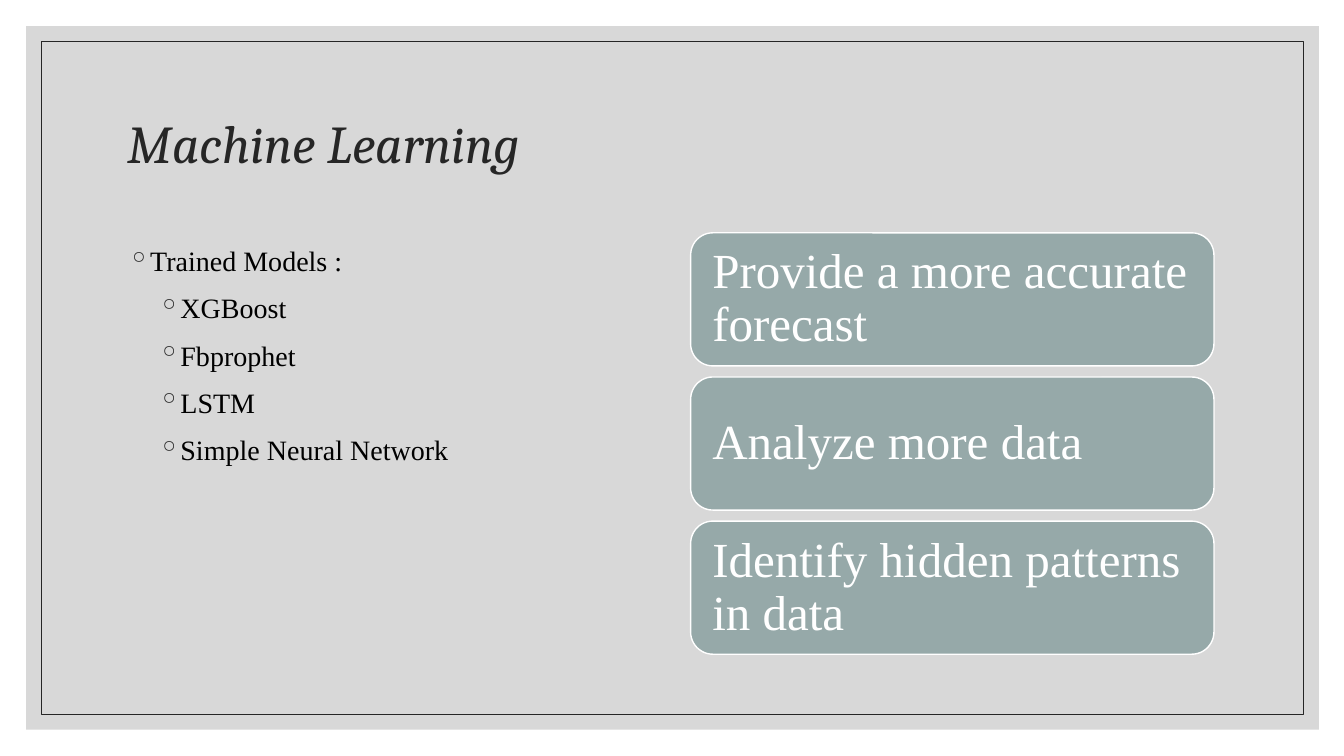
from lxml import etree
from pptx import Presentation
from pptx.dml.color import RGBColor
from pptx.enum.shapes import MSO_SHAPE
from pptx.enum.text import MSO_ANCHOR, PP_ALIGN
from pptx.oxml.ns import qn
from pptx.util import Inches, Pt

GREY = RGBColor(0xBF, 0xBF, 0xBF)
DARK = RGBColor(0x26, 0x26, 0x26)
BLACK = RGBColor(0x00, 0x00, 0x00)
WHITE = RGBColor(0xFF, 0xFF, 0xFF)
SAGE = RGBColor(0x96, 0xA9, 0xA9)

deck = Presentation()
deck.slide_width, deck.slide_height = Inches(13.33), Inches(7.5)
page = deck.slides.add_slide(deck.slide_layouts[6])


def add_block(kind, left, top, width, height):
    block = page.shapes.add_shape(
        kind, Inches(left), Inches(top), Inches(width), Inches(height))
    block.shadow.inherit = False
    return block


def style_text(para, font, size, color, spacing):
    para.alignment = PP_ALIGN.LEFT
    para.line_spacing = spacing
    for span in para.runs:
        span.font.name = font
        span.font.size = Pt(size)
        span.font.color.rgb = color


# Grey backdrop, 60% opaque
backdrop = add_block(MSO_SHAPE.RECTANGLE, 0.26, 0.26, 12.82, 6.98)
backdrop.fill.solid()
backdrop.fill.fore_color.rgb = GREY
backdrop.line.fill.background()
color_node = backdrop.fill._xPr.find(".//" + qn("a:srgbClr"))
etree.SubElement(color_node, qn("a:alpha"), val="60000")

# Thin frame
frame = add_block(MSO_SHAPE.RECTANGLE, 0.41, 0.41, 12.52, 6.68)
frame.fill.background()
frame.line.color.rgb = DARK
frame.line.width = Pt(0.5)

# Title
title = page.shapes.add_textbox(Inches(1.17), Inches(0.7), Inches(11), Inches(1.5))
title.text_frame.word_wrap = True
title.text_frame.vertical_anchor = MSO_ANCHOR.MIDDLE
title.text_frame.text = "Machine Learning"
heading = title.text_frame.paragraphs[0]
style_text(heading, "Cambria", 38, DARK, 0.9)
heading.runs[0].font.italic = True

# Bulleted list of models
models = ["Trained Models :", "XGBoost", "Fbprophet", "LSTM", "Simple Neural Network"]
box = page.shapes.add_textbox(Inches(1.17), Inches(2.3), Inches(3.58), Inches(4.21))
box.text_frame.word_wrap = True
box.text_frame.text = "\n".join(models)
for index, para in enumerate(box.text_frame.paragraphs):
    nested = index > 0
    style_text(para, "Times New Roman", 20, BLACK, 1.2)
    para.level = 1 if nested else 0
    para.space_before = Pt(5 if nested else 9)
    props = para._p.get_or_add_pPr()
    props.set("marL", str(Inches(0.5 if nested else 0.2)))
    props.set("indent", str(Inches(-0.2)))
    bullet_color = etree.SubElement(props, qn("a:buClr"))
    etree.SubElement(bullet_color, qn("a:srgbClr"), val=str(DARK))
    etree.SubElement(props, qn("a:buChar"), char="◦")

# Stacked benefit cards
benefits = ["Provide a more accurate forecast", "Analyze more data",
            "Identify hidden patterns in data"]
for index, benefit in enumerate(benefits):
    card = add_block(MSO_SHAPE.ROUNDED_RECTANGLE, 6.85, 2.31 + 1.43 * index, 5.19, 1.32)
    card.fill.solid()
    card.fill.fore_color.rgb = SAGE
    card.line.color.rgb = WHITE
    card.line.width = Pt(1)
    frame_text = card.text_frame
    frame_text.word_wrap = True
    frame_text.vertical_anchor = MSO_ANCHOR.MIDDLE
    # The rounded corners already inset the text by 0.06 inch
    frame_text.margin_left = frame_text.margin_right = Inches(0.15)
    frame_text.margin_top = frame_text.margin_bottom = Inches(0.05)
    frame_text.text = benefit
    style_text(frame_text.paragraphs[0], "Times New Roman", 35, WHITE, 0.9)

deck.save("out.pptx")
